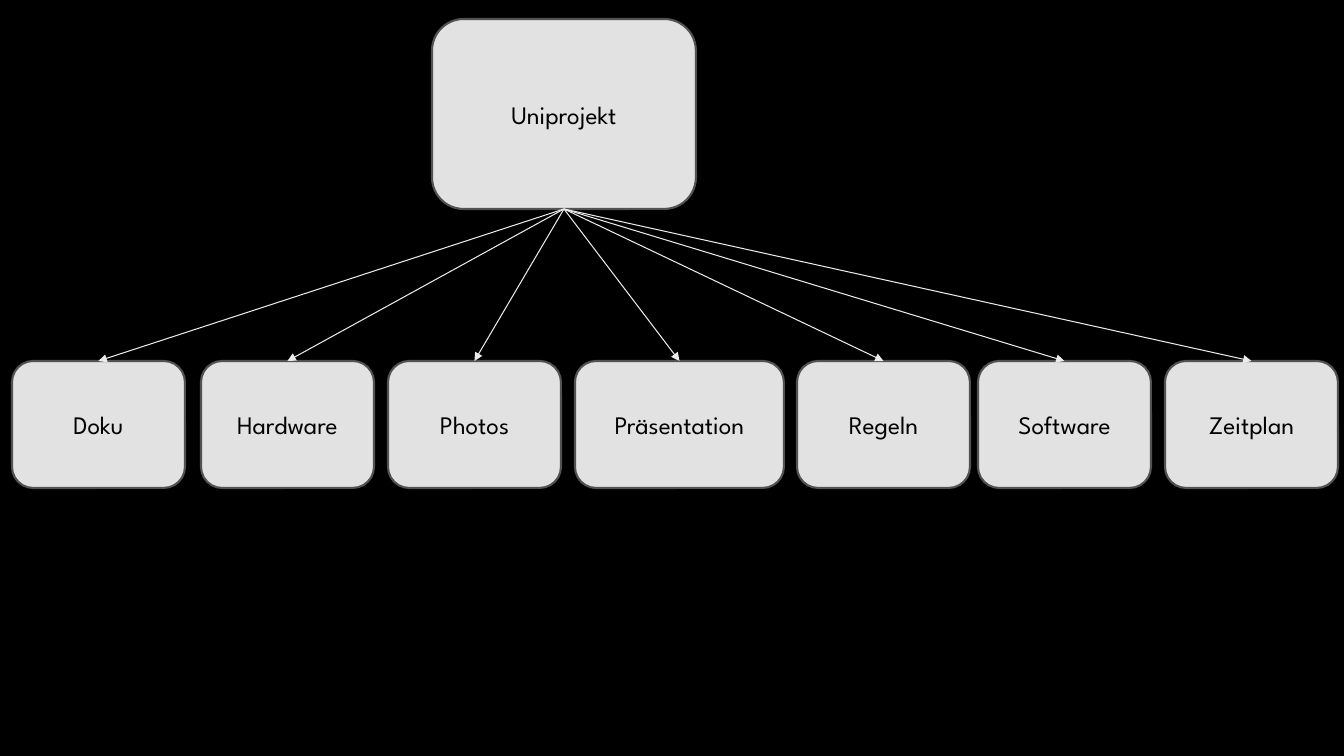
from lxml.etree import SubElement
from pptx import Presentation
from pptx.dml.color import RGBColor
from pptx.enum.shapes import MSO_CONNECTOR as Connector, MSO_SHAPE as Shape
from pptx.enum.text import MSO_ANCHOR as Anchor, PP_ALIGN as Align
from pptx.oxml.ns import qn
from pptx.util import Pt

PX = 914400 / 100.8
THEME = {
    "background": RGBColor.from_string("000000"),
    "box": RGBColor.from_string("E2E2E2"),
    "border": RGBColor.from_string("525252"),
    "arrow": RGBColor.from_string("EBEBEB"),
    "text": RGBColor.from_string("000000"),
    "border_width": Pt(1.5),
    "arrow_width": Pt(0.75),
}
LABEL_FORMAT = {"name": "League Spartan", "size": Pt(18)}
FRAME_FORMAT = {"word_wrap": True, "vertical_anchor": Anchor.MIDDLE}
BOTTOM_SITE, TOP_SITE = 2, 0


def px(length):
    return round(length * PX)


def add_box(label, left, top, width, height):
    box = slide.shapes.add_shape(
        Shape.ROUNDED_RECTANGLE, px(left), px(top), px(width), px(height)
    )
    box.shadow.inherit = False
    box.fill.solid()
    box.fill.fore_color.rgb = THEME["box"]
    box.line.color.rgb = THEME["border"]
    box.line.width = THEME["border_width"]
    for key, value in FRAME_FORMAT.items():
        setattr(box.text_frame, key, value)
    paragraph = box.text_frame.paragraphs[0]
    paragraph.alignment = Align.CENTER
    run = paragraph.add_run()
    run.text = label
    for key, value in LABEL_FORMAT.items():
        setattr(run.font, key, value)
    run.font.color.rgb = THEME["text"]
    return box


deck = Presentation()
deck.slide_width, deck.slide_height = px(1344), px(756)
slide = deck.slides.add_slide(deck.slide_layouts[6])
slide.background.fill.solid()
slide.background.fill.fore_color.rgb = THEME["background"]

project = add_box("Uniprojekt", 432, 19, 264, 190)

folders = [
    ("Doku", 12, 173),
    ("Hardware", 201, 173),
    ("Photos", 388, 173),
    ("Präsentation", 575, 209),
    ("Regeln", 797, 173),
    ("Software", 978, 173),
    ("Zeitplan", 1165, 173),
]
folder_boxes = [add_box(label, left, 361, width, 127) for label, left, width in folders]

for folder in folder_boxes:
    arrow = slide.shapes.add_connector(Connector.STRAIGHT, 0, 0, 0, 0)
    arrow.begin_connect(project, BOTTOM_SITE)
    arrow.end_connect(folder, TOP_SITE)
    arrow.line.color.rgb = THEME["arrow"]
    arrow.line.width = THEME["arrow_width"]
    properties = arrow._element.spPr
    SubElement(properties.find(qn("a:ln")), qn("a:tailEnd"), type="triangle")
    SubElement(properties, qn("a:effectLst"))

deck.save("out.pptx")
